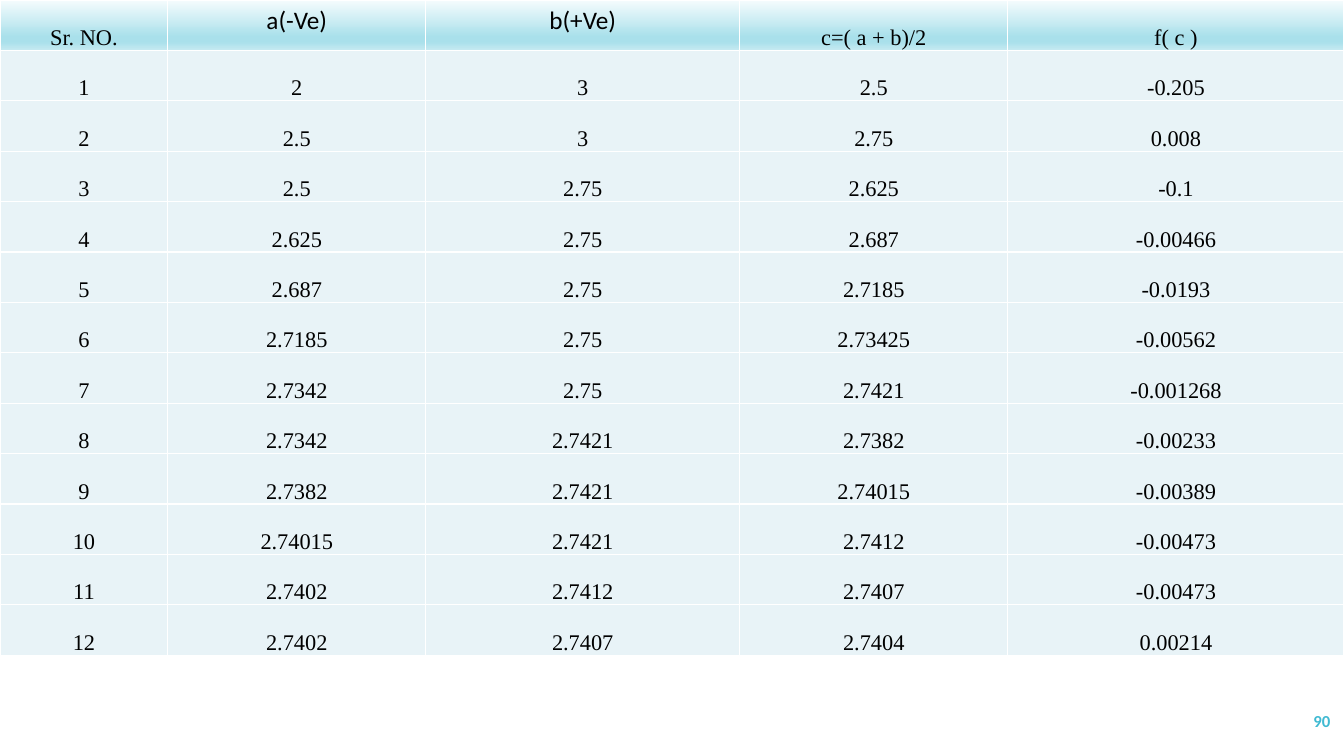
from lxml.etree import SubElement
from pptx import Presentation
from pptx.dml.color import RGBColor
from pptx.enum.text import MSO_ANCHOR, PP_ALIGN
from pptx.oxml.ns import qn
from pptx.util import Cm, Pt

COLUMN_WIDTHS = [4.23, 6.5, 7.91, 6.76, 8.47]
ROW_HEIGHT = 1.27
HEADER_STOPS = [(0, "F5FCFD"), (74, "A9E0EB"), (83, "A9E0EB"), (100, "C6EAF1")]
HEADINGS = ["Sr. NO.", "a(-Ve)", "b(+Ve)", "c=( a + b)/2", "f( c )"]
BRACKET_HEADINGS = HEADINGS[1:3]
ITERATIONS = [
    ("2", "3", "2.5", "-0.205"),
    ("2.5", "3", "2.75", "0.008"),
    ("2.5", "2.75", "2.625", "-0.1"),
    ("2.625", "2.75", "2.687", "-0.00466"),
    ("2.687", "2.75", "2.7185", "-0.0193"),
    ("2.7185", "2.75", "2.73425", "-0.00562"),
    ("2.7342", "2.75", "2.7421", "-0.001268"),
    ("2.7342", "2.7421", "2.7382", "-0.00233"),
    ("2.7382", "2.7421", "2.74015", "-0.00389"),
    ("2.74015", "2.7421", "2.7412", "-0.00473"),
    ("2.7402", "2.7412", "2.7407", "-0.00473"),
    ("2.7402", "2.7407", "2.7404", "0.00214"),
]


def color(code):
    return RGBColor.from_string(code)


def format_text(para, font_name, size, code, align):
    para.alignment = align
    para.font.name = font_name
    para.font.size = Pt(size)
    para.font.color.rgb = color(code)


def add_color(parent, code):
    SubElement(parent, qn("a:srgbClr"), val=str(color(code)))


def add_borders(cell, code):
    properties = cell._tc.get_or_add_tcPr()
    for side in ("lnL", "lnR", "lnT", "lnB"):
        line = SubElement(properties, qn(f"a:{side}"), w=str(Pt(1)))
        add_color(SubElement(line, qn("a:solidFill")), code)


def fill_gradient(cell, stops):
    gradient = SubElement(cell._tc.get_or_add_tcPr(), qn("a:gradFill"))
    stop_list = SubElement(gradient, qn("a:gsLst"))
    for percent, code in stops:
        add_color(SubElement(stop_list, qn("a:gs"), pos=str(percent * 1000)), code)
    SubElement(gradient, qn("a:lin"), ang="5400000", scaled="0")


def fill_cell(cell, text, is_header):
    cell.text = text
    para = cell.text_frame.paragraphs[0]
    if text in BRACKET_HEADINGS:
        format_text(para, "Calibri", 18, "000000", PP_ALIGN.CENTER)
    else:
        format_text(para, "Times New Roman", 16, "000000", PP_ALIGN.CENTER)
        cell.vertical_anchor = MSO_ANCHOR.BOTTOM
        cell.margin_left = cell.margin_right = cell.margin_top = Cm(0.03)
        cell.margin_bottom = 0
    add_borders(cell, "FFFFFF")
    if is_header:
        fill_gradient(cell, HEADER_STOPS)
    else:
        cell.fill.solid()
        cell.fill.fore_color.rgb = color("E8F3F7")


def add_iteration_table(page, left, top, width, height):
    rows = [HEADINGS]
    rows += [(str(number), *values) for number, values in enumerate(ITERATIONS, 1)]
    table = page.shapes.add_table(
        len(rows), len(HEADINGS), left, top, width, height).table
    table.first_row = table.horz_banding = False
    for column, column_width in zip(table.columns, COLUMN_WIDTHS):
        column.width = Cm(column_width)
    for row_index, values in enumerate(rows):
        table.rows[row_index].height = Cm(ROW_HEIGHT)
        for column_index, text in enumerate(values):
            fill_cell(table.cell(row_index, column_index), text, row_index == 0)


def add_page_number(page, left, top, width, height):
    frame = page.shapes.add_textbox(left, top, width, height).text_frame
    frame.word_wrap = True
    frame.vertical_anchor = MSO_ANCHOR.MIDDLE
    para = frame.paragraphs[0]
    para.text = "90"
    format_text(para, "Calibri", 12, "40BAD2", PP_ALIGN.RIGHT)
    para.font.bold = True


def main():
    deck = Presentation()
    deck.slide_width, deck.slide_height = Cm(33.87), Cm(19.05)
    page = deck.slides.add_slide(deck.slide_layouts[6])  # blank layout

    # Bisection iterations across the full width
    add_iteration_table(page, 0, 0, deck.slide_width,
                        Cm(ROW_HEIGHT * (len(ITERATIONS) + 1)))

    # Page number in the bottom right corner
    add_page_number(page, Cm(29.54), Cm(17.65), Cm(4.24), Cm(1.02))

    deck.save("out.pptx")


if __name__ == "__main__":
    main()
